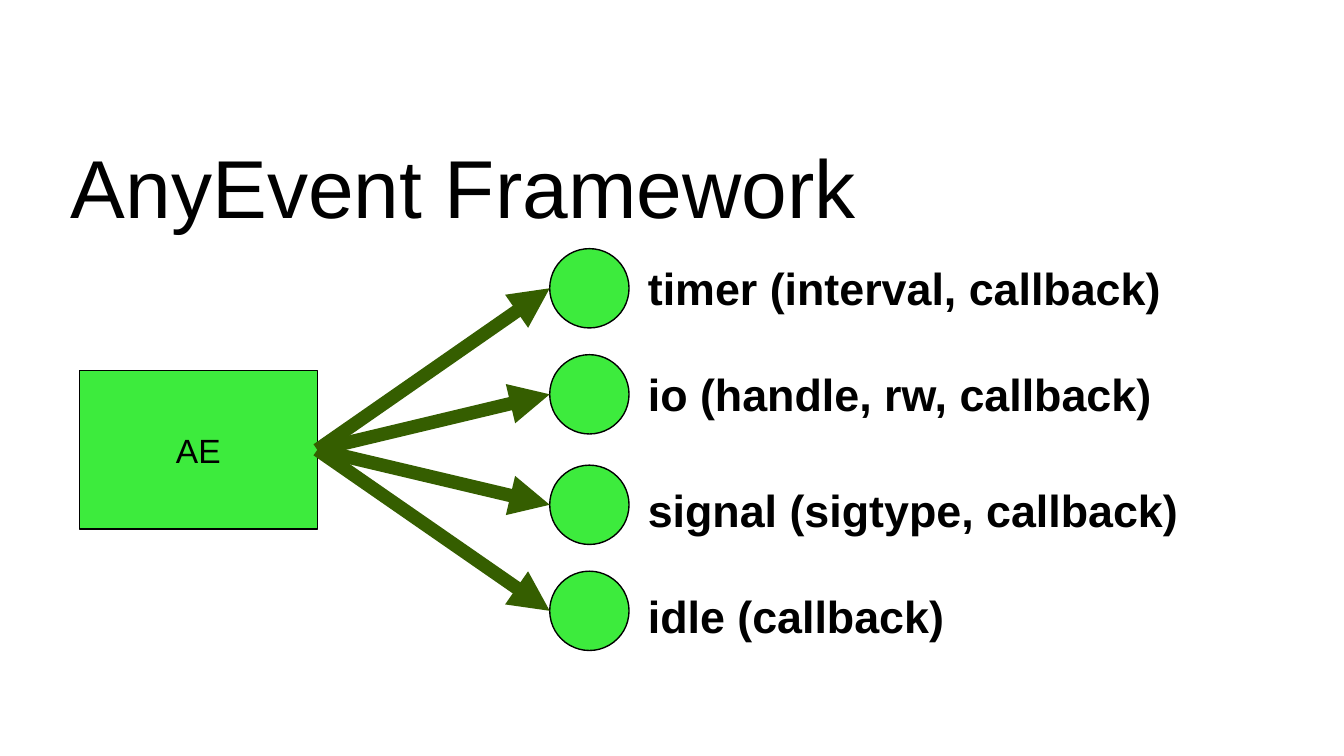
from pptx import Presentation
from pptx.dml.color import RGBColor
from pptx.enum.shapes import MSO_CONNECTOR, MSO_SHAPE
from pptx.enum.text import MSO_ANCHOR, MSO_AUTO_SIZE, PP_ALIGN
from pptx.oxml.ns import qn
from pptx.util import Pt
from lxml import etree

RECTANGLE, OVAL = MSO_SHAPE.RECTANGLE, MSO_SHAPE.OVAL
STRAIGHT = MSO_CONNECTOR.STRAIGHT
MIDDLE = MSO_ANCHOR.MIDDLE
LEFT, CENTER = PP_ALIGN.LEFT, PP_ALIGN.CENTER
FIT_SHAPE, NO_FIT = MSO_AUTO_SIZE.SHAPE_TO_FIT_TEXT, MSO_AUTO_SIZE.NONE
RIGHT_SIDE = 3

GREEN, DARK_GREEN, BLACK = "3DEB3D", "355E00", "000000"
FONT = "Arial"

TITLE = "AnyEvent Framework"
SOURCE = "AE"
# watcher, top of its circle, top of its label, label width
WATCHERS = [
    ("timer (interval, callback)", 133.2, 136, 289.5),
    ("io (handle, rw, callback)", 190, 193, 284.5),
    ("signal (sigtype, callback)", 249.2, 255, 299),
    ("idle (callback)", 306, 312, 173),
]

SOURCE_BOX = (42.5, 198.5, 127.5, 85)
CIRCLE_LEFT, CIRCLE_SIZE = 294.5, 42.5
LABEL_LEFT, LABEL_HEIGHT = 340, 34


def color(hex_code):
    return RGBColor.from_string(hex_code)


def add_text(frame, text, size, align=LEFT, bold=False):
    paragraph = frame.paragraphs[0]
    paragraph.alignment = align
    run = paragraph.add_run()
    run.text = text
    run.font.name = FONT
    run.font.size = Pt(size)
    run.font.bold = bold
    run.font.color.rgb = color(BLACK)


def add_node(slide, kind, box):
    node = slide.shapes.add_shape(kind, *map(Pt, box))
    node.shadow.inherit = False
    node.fill.solid()
    node.fill.fore_color.rgb = color(GREEN)
    node.line.color.rgb = color(BLACK)
    node.line.width = Pt(0)
    return node


def add_arrow(slide, source, x, y):
    """Draw an arrow from the right side of source to the point x, y."""
    arrow = slide.shapes.add_connector(STRAIGHT, 0, 0, Pt(x), Pt(y))
    arrow.begin_connect(source, RIGHT_SIDE)
    arrow.line.color.rgb = color(DARK_GREEN)
    arrow.line.width = Pt(7.2)
    etree.SubElement(arrow.line._get_or_add_ln(), qn("a:tailEnd"), type="triangle")
    etree.SubElement(arrow._element.spPr, qn("a:effectLst"))


def add_label(slide, text, top, width):
    label = slide.shapes.add_textbox(
        Pt(LABEL_LEFT), Pt(top), Pt(width), Pt(LABEL_HEIGHT))
    label.text_frame.word_wrap = False
    label.text_frame.auto_size = FIT_SHAPE
    add_text(label.text_frame, text, 24, bold=True)


def set_title(slide):
    title = slide.shapes.title
    title.left, title.top, title.width, title.height = map(Pt, (38, 75, 648, 49))
    frame = title.text_frame
    frame.margin_left = frame.margin_right = 0
    frame.margin_top = frame.margin_bottom = 0
    frame.vertical_anchor = MIDDLE
    frame.auto_size = NO_FIT
    add_text(frame, TITLE, 44)


def main():
    deck = Presentation()
    deck.slide_width, deck.slide_height = Pt(720), Pt(405)
    slide = deck.slides.add_slide(deck.slide_layouts[5])

    set_title(slide)
    source = add_node(slide, RECTANGLE, SOURCE_BOX)
    source.text_frame.vertical_anchor = MIDDLE
    add_text(source.text_frame, SOURCE, 18, CENTER)

    for _, circle_top, _, _ in WATCHERS:
        add_node(slide, OVAL, (CIRCLE_LEFT, circle_top, CIRCLE_SIZE, CIRCLE_SIZE))
    for _, circle_top, _, _ in WATCHERS:
        add_arrow(slide, source, CIRCLE_LEFT, circle_top + CIRCLE_SIZE / 2)
    for watcher, _, label_top, label_width in WATCHERS:
        add_label(slide, watcher, label_top, label_width)

    deck.save("out.pptx")


if __name__ == "__main__":
    main()
